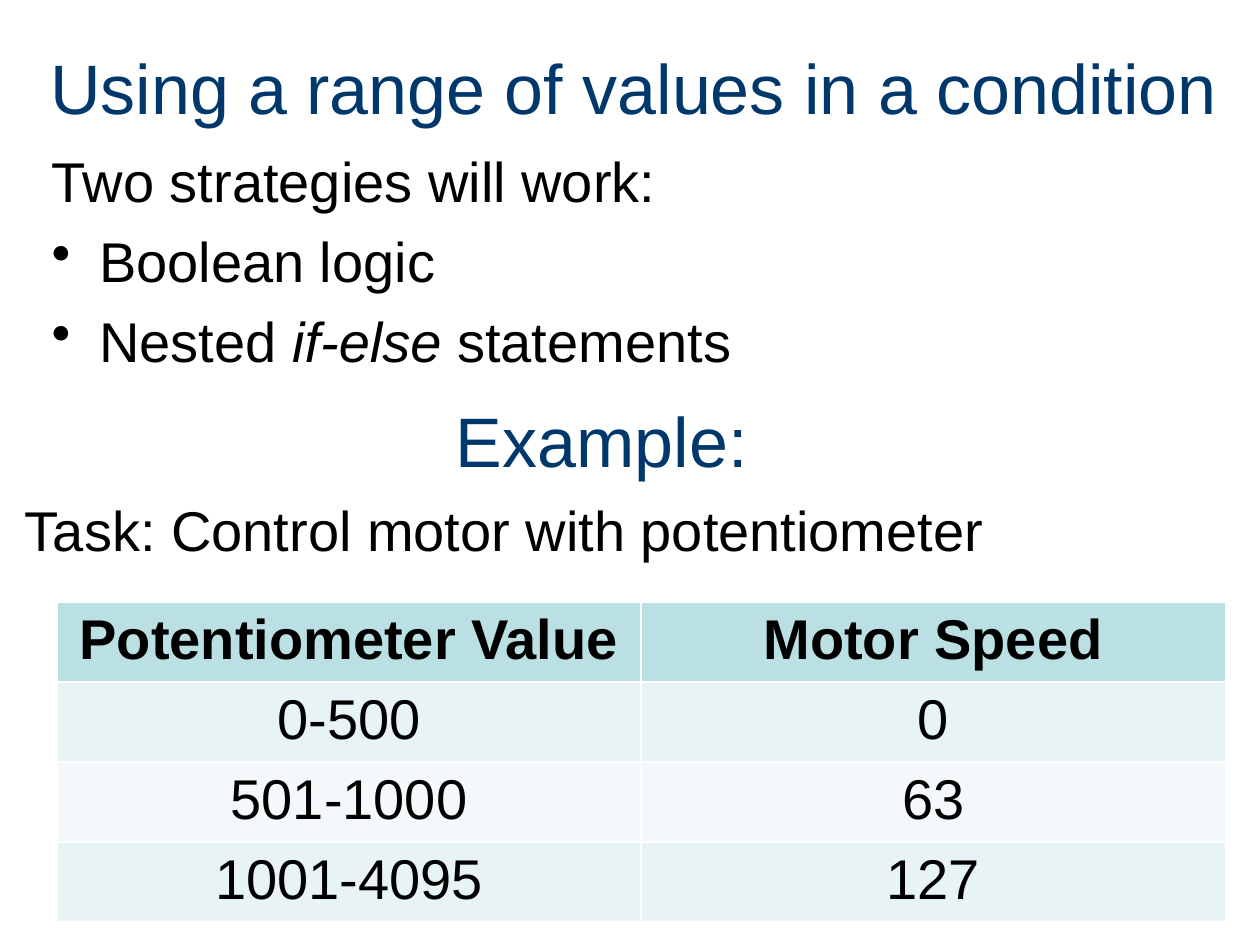
import pptx
import pptx.dml.color
import pptx.enum.text
import pptx.util
from pptx.oxml.xmlchemy import OxmlElement

Pt = pptx.util.Pt
ALIGN = pptx.enum.text.PP_ALIGN
ANCHOR = pptx.enum.text.MSO_ANCHOR


def color(hex_string):
    return pptx.dml.color.RGBColor.from_string(hex_string)


class SlideBuilder:
    font_name = "Arial"
    title_size, body_size = 40, 32
    title_color, body_color = "00386B", "000000"
    header_fill = "BBE0E3"
    band_fills = ("E7F3F4", "F3F9FA")

    def __init__(self, slide):
        self.slide = slide

    def set_font(self, paragraph, size, hex_string, bold=False):
        font = paragraph.font
        font.name, font.size, font.bold = self.font_name, Pt(size), bold
        font.color.rgb = color(hex_string)

    def text_box(self, left, top, width, height, anchor=ANCHOR.TOP):
        shape = self.slide.shapes.add_textbox(Pt(left), Pt(top), Pt(width), Pt(height))
        frame = shape.text_frame
        frame.word_wrap = True
        frame.vertical_anchor = anchor
        return frame

    def title(self, text, left, top):
        paragraph = self.text_box(left, top, 684, 56, ANCHOR.MIDDLE).paragraphs[0]
        paragraph.text = text
        self.set_font(paragraph, self.title_size, self.title_color)

    def body(self, text, left, top, width, height):
        frame = self.text_box(left, top, width, height)
        frame.text = text
        self.set_font(frame.paragraphs[0], self.body_size, self.body_color)
        return frame

    def bullet(self, frame, *parts):
        paragraph = frame.add_paragraph()
        paragraph.space_before = Pt(7.4)
        self.set_font(paragraph, self.body_size, self.body_color)
        properties = paragraph._p.get_or_add_pPr()
        properties.set("marL", str(Pt(27)))
        properties.set("indent", str(-Pt(27)))
        bullet = OxmlElement("a:buChar")
        bullet.set("char", "•")
        properties.insert_element_before(bullet, "a:tabLst", "a:defRPr", "a:extLst")
        for text, italic in parts:
            run = paragraph.add_run()
            run.text = text
            run.font.italic = italic

    def table(self, rows, left, top, width, row_height):
        table = self.slide.shapes.add_table(
            len(rows), len(rows[0]), Pt(left), Pt(top), Pt(width), Pt(row_height * len(rows))
        ).table
        for row_index, values in enumerate(rows):
            header = row_index == 0
            fill = self.header_fill if header else self.band_fills[(row_index - 1) % 2]
            for column_index, value in enumerate(values):
                cell = table.cell(row_index, column_index)
                cell.text = value
                cell.fill.solid()
                cell.fill.fore_color.rgb = color(fill)
                paragraph = cell.text_frame.paragraphs[0]
                paragraph.alignment = ALIGN.CENTER
                self.set_font(paragraph, self.body_size, self.body_color, bold=header)


def main():
    presentation = pptx.Presentation()
    presentation.slide_width, presentation.slide_height = Pt(720), Pt(540)
    slide = presentation.slides.add_slide(presentation.slide_layouts[6])
    builder = SlideBuilder(slide)

    builder.title("Using a range of values in a condition", 21.6, 21.6)
    strategies = builder.body("Two strategies will work:", 22.5, 80, 648, 162)
    builder.bullet(strategies, ("Boolean logic", False))
    builder.bullet(strategies, ("Nested ", False), ("if-else", True), (" statements", False))

    builder.body("Task: Control motor with potentiometer", 7.2, 279.4, 705.6, 46)
    builder.title("Example:", 253.5, 223.4)
    speeds = [
        ("Potentiometer Value", "Motor Speed"),
        ("0-500", "0"),
        ("501-1000", "63"),
        ("1001-4095", "127"),
    ]
    builder.table(speeds, 32.6, 344.2, 667.6, 45.6)

    presentation.save("out.pptx")


if __name__ == "__main__":
    main()
